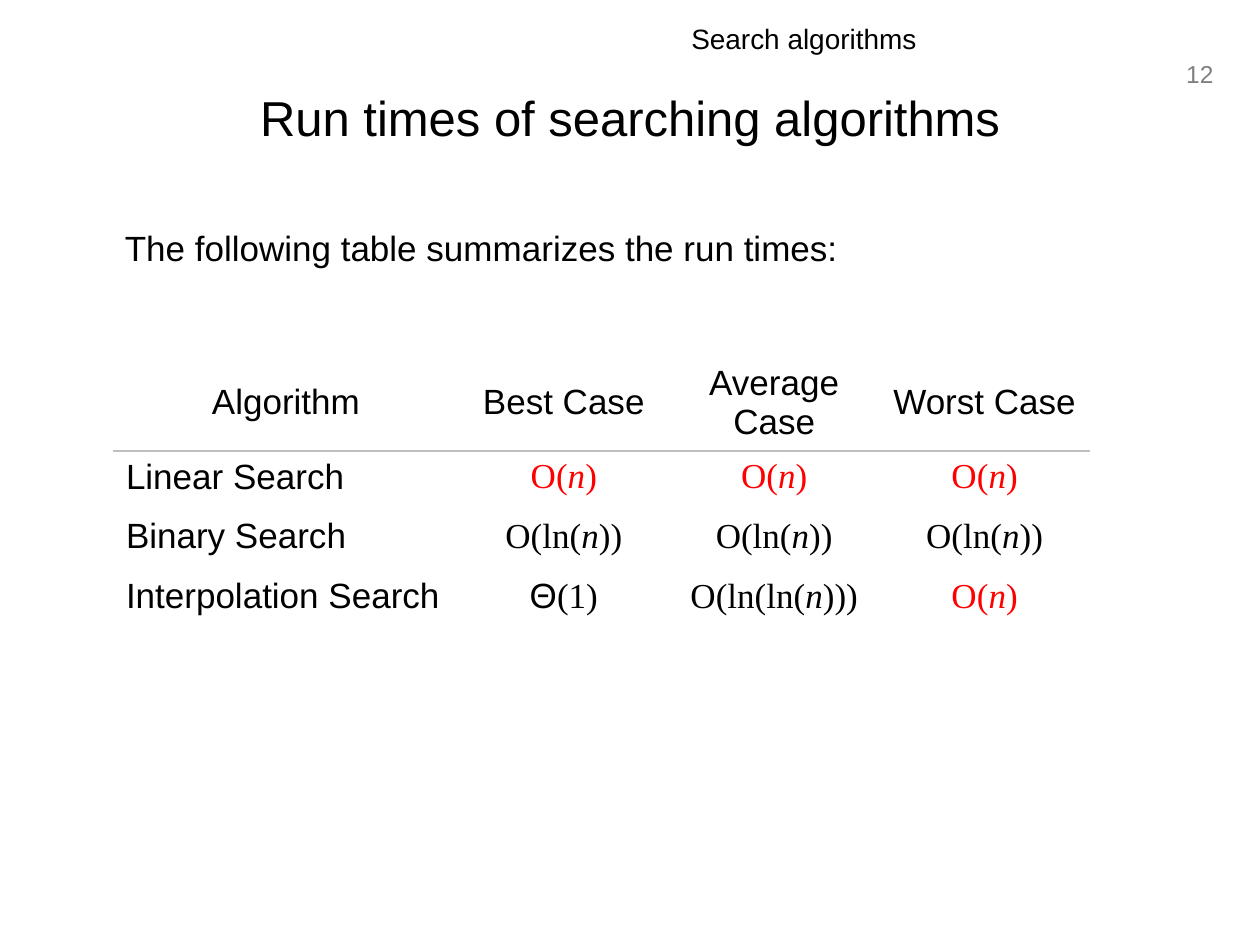
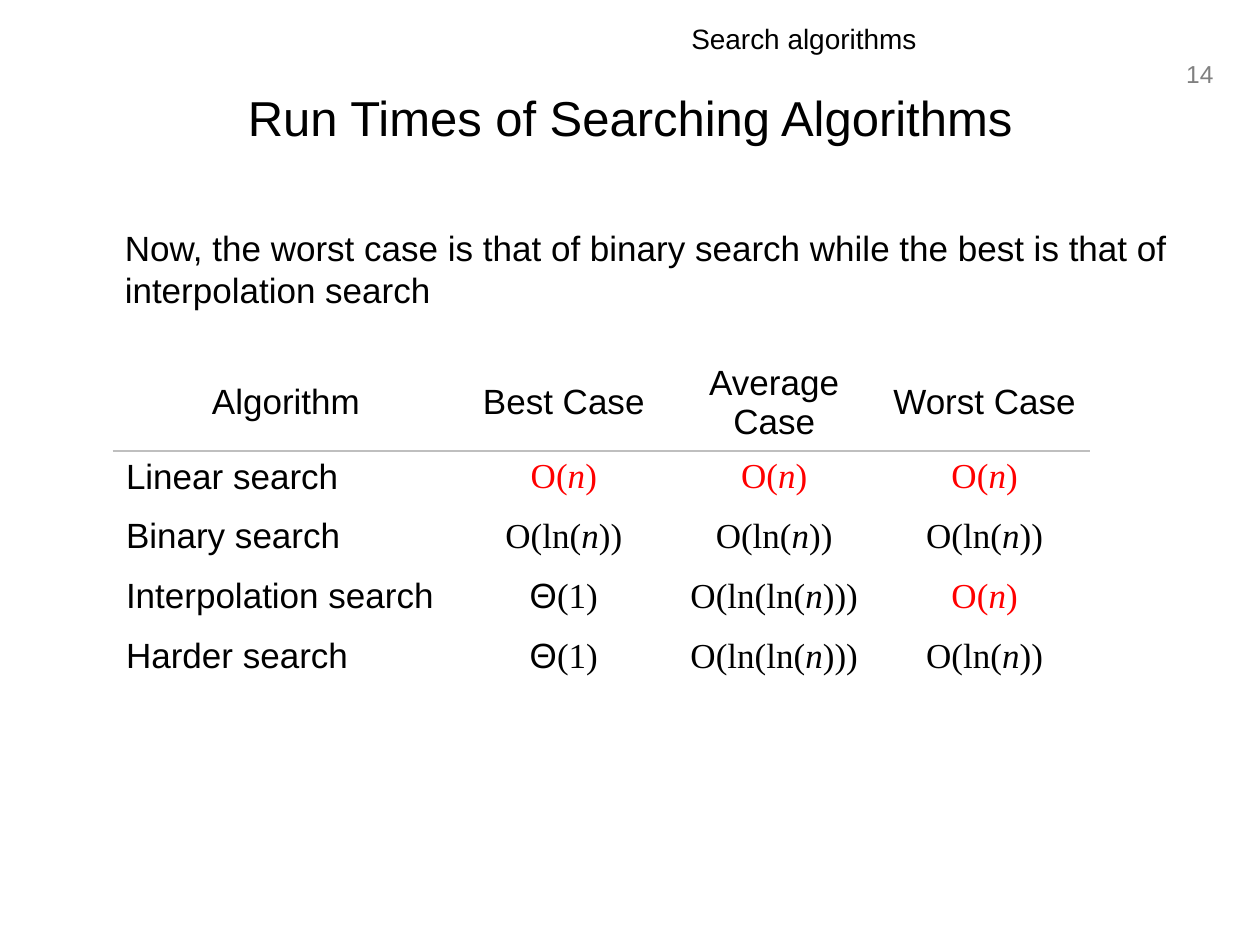
from dataclasses import dataclass
from typing import NamedTuple

from lxml import etree
from pptx import Presentation
from pptx import util as u
from pptx.dml.color import RGBColor
from pptx.enum import text
from pptx.oxml import ns

COLS, ROWS = 100, 75
CELL = u.Inches(0.1)


@dataclass(frozen=True)
class Theme:
    sans: str = "Arial"
    serif: str = "Times New Roman"
    ink: str = "000000"
    slow: str = "FF0000"
    muted: str = "808080"
    rule: str = "BFBFBF"
    title: int = 28
    body: int = 20
    header: int = 16
    number: int = 14
    rule_width: int = 1


class Box(NamedTuple):
    col: float
    row: float
    cols: float
    rows: float

    def lengths(self) -> list[int]:
        return [round(v * CELL) for v in self]


class Piece(NamedTuple):
    text: str
    font: str
    italic: bool = False


class Cost(NamedTuple):
    pieces: tuple[Piece, ...]
    color: str


class Algorithm(NamedTuple):
    name: str
    costs: tuple[Cost, Cost, Cost]


class Summary(NamedTuple):
    number: int
    title: str
    lead: str
    algorithms: tuple[Algorithm, ...]


T = Theme()
NUMBER = Box(92.9, 4.2, 4.4, 3.3)
HEADER = Box(31.9, 1.2, 63.8, 4)
TITLE = Box(5, 3, 90, 12.5)
BODY = Box(5, 17.5, 90, 49.5)
COLUMN_COLS = (27.4, 16.7, 16.7, 16.7)
HEAD_ROWS, ALGORITHM_ROWS = 7.7, 4.76
TABLE_COL, TABLE_ROW = 9, 28.1
LEAD_INDENT = 3.9
HEADINGS = ("Algorithm", "Best Case", "Average Case", "Worst Case")
CENTER, LEFT, RIGHT = text.PP_ALIGN.CENTER, text.PP_ALIGN.LEFT, text.PP_ALIGN.RIGHT


def big_o(logs: int, color: str = T.ink) -> Cost:
    return Cost((Piece("O(" + "ln(" * logs, T.serif),
                 Piece("n", T.serif, True),
                 Piece(")" * (logs + 1), T.serif)), color)


LINEAR = big_o(0, T.slow)
LOG = big_o(1)
LOG_LOG = big_o(2)
CONSTANT = Cost((Piece("Θ", T.sans), Piece("(1)", T.serif)), T.ink)

SUMMARIES = (
    Summary(12, "Run times of searching algorithms",
            "The following table summarizes the run times:",
            (Algorithm("Linear Search", (LINEAR, LINEAR, LINEAR)),
             Algorithm("Binary Search", (LOG, LOG, LOG)),
             Algorithm("Interpolation Search", (CONSTANT, LOG_LOG, LINEAR)))),
    Summary(14, "Run Times of Searching Algorithms",
            "Now, the worst case is that of binary search while the best "
            "is that of interpolation search",
            (Algorithm("Linear search", (LINEAR, LINEAR, LINEAR)),
             Algorithm("Binary search", (LOG, LOG, LOG)),
             Algorithm("Interpolation search", (CONSTANT, LOG_LOG, LINEAR)),
             Algorithm("Harder search", (CONSTANT, LOG_LOG, LOG)))),
)


def plain(words: str, color: str = T.ink) -> Cost:
    return Cost((Piece(words, T.sans),), color)


def write(tf, content: Cost, size: int, align) -> None:
    p = tf.paragraphs[0]
    p.alignment = align
    p.space_before = u.Pt(0)
    for piece in content.pieces:
        r = p.add_run()
        r.text = piece.text
        r.font.name = piece.font
        r.font.size = u.Pt(size)
        r.font.bold = False
        r.font.italic = piece.italic
        r.font.color.rgb = RGBColor.from_string(content.color)


def add_label(s, box: Box, content: Cost, size: int, align, wrap: bool) -> None:
    tf = s.shapes.add_textbox(*box.lengths()).text_frame
    tf.word_wrap = wrap
    write(tf, content, size, align)


def fill_placeholder(sp, box: Box, words: str, size: int, align, anchor) -> None:
    sp.left, sp.top, sp.width, sp.height = box.lengths()
    tf = sp.text_frame
    tf.word_wrap = True
    tf.auto_size = text.MSO_AUTO_SIZE.NONE
    tf.vertical_anchor = anchor
    write(tf, plain(words), size, align)


def indent_lead(sp) -> None:
    pPr = sp.text_frame.paragraphs[0]._p.get_or_add_pPr()
    pPr.set("marL", str(round(LEAD_INDENT * CELL)))
    pPr.set("indent", "0")
    etree.SubElement(pPr, ns.qn("a:buNone"))


def add_rule(cell, side: str) -> None:
    ln = etree.Element(ns.qn(f"a:{side}"), w=str(u.Pt(T.rule_width)))
    fill = etree.SubElement(ln, ns.qn("a:solidFill"))
    etree.SubElement(fill, ns.qn("a:srgbClr"), val=T.rule)
    cell._tc.get_or_add_tcPr().insert(0, ln)


def add_run_times(s, algorithms: tuple[Algorithm, ...]) -> None:
    heights = [HEAD_ROWS] + [ALGORITHM_ROWS] * len(algorithms)
    box = Box(TABLE_COL, TABLE_ROW, sum(COLUMN_COLS), sum(heights))
    table = s.shapes.add_table(len(heights), len(COLUMN_COLS), *box.lengths()).table
    table.first_row = table.horz_banding = False
    for column, cols in zip(table.columns, COLUMN_COLS):
        column.width = round(cols * CELL)
    for row, rows in zip(table.rows, heights):
        row.height = round(rows * CELL)
    lines = [[plain(h) for h in HEADINGS]]
    lines += [[plain(a.name), *a.costs] for a in algorithms]
    for i, line in enumerate(lines):
        for j, content in enumerate(line):
            cell = table.cell(i, j)
            cell.fill.background()
            cell.vertical_anchor = text.MSO_ANCHOR.TOP if i else text.MSO_ANCHOR.MIDDLE
            write(cell.text_frame, content, T.body, LEFT if i and not j else CENTER)
            if i < 2:
                add_rule(cell, "lnT" if i else "lnB")


def add_summary(prs, summary: Summary) -> None:
    s = prs.slides.add_slide(prs.slide_layouts[1])
    title, body = s.placeholders
    add_label(s, NUMBER, plain(str(summary.number), T.muted), T.number, RIGHT, False)
    add_label(s, HEADER, plain("Search algorithms"), T.header, CENTER, True)
    fill_placeholder(title, TITLE, summary.title, T.title, CENTER, text.MSO_ANCHOR.MIDDLE)
    fill_placeholder(body, BODY, summary.lead, T.body, LEFT, text.MSO_ANCHOR.TOP)
    indent_lead(body)
    add_run_times(s, summary.algorithms)


def main() -> None:
    prs = Presentation()
    prs.slide_width, prs.slide_height = COLS * CELL, ROWS * CELL
    for summary in SUMMARIES:
        add_summary(prs, summary)
    prs.save("out.pptx")


if __name__ == "__main__":
    main()
